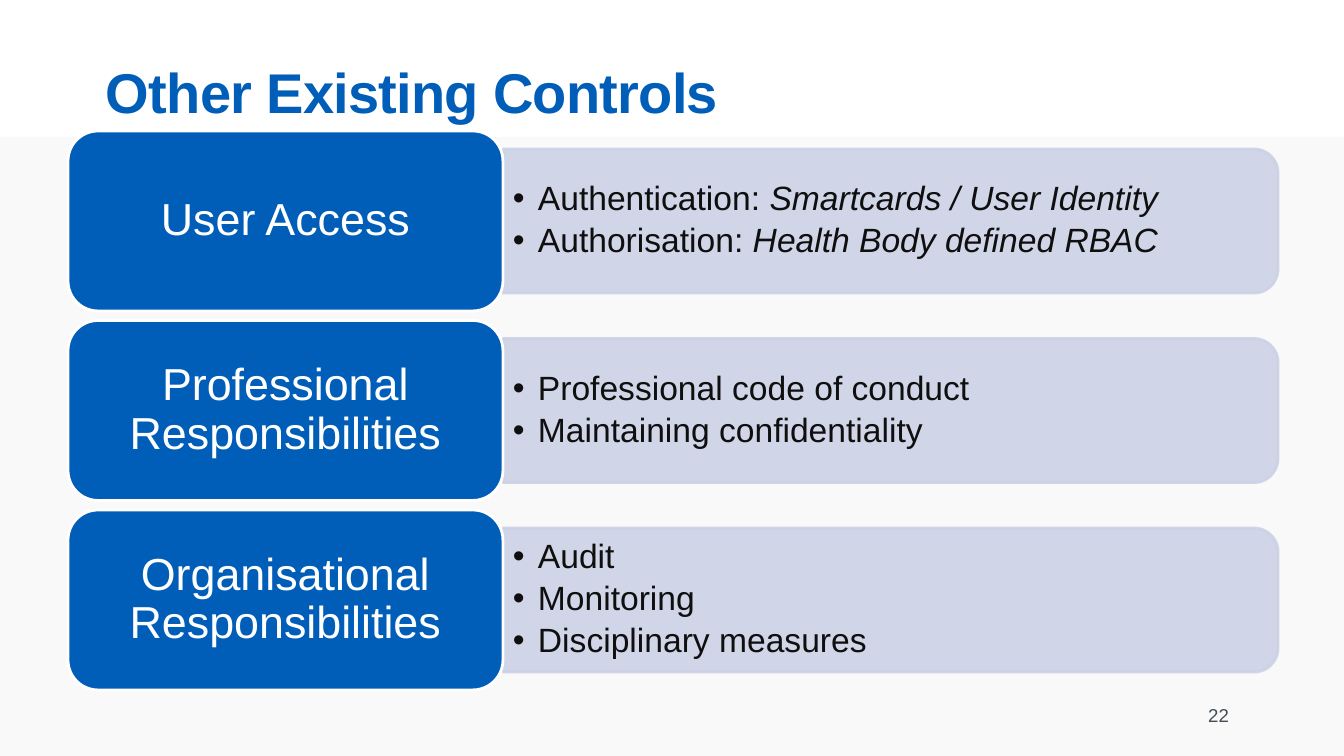
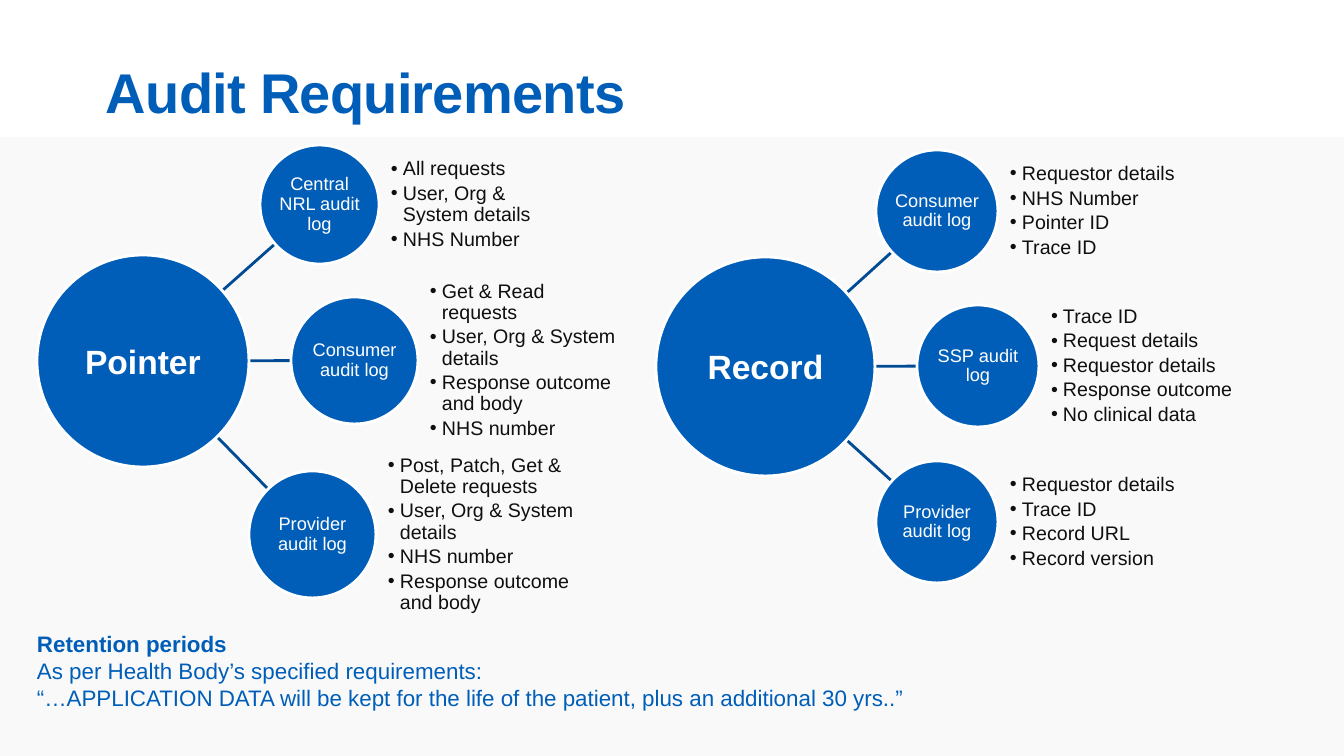
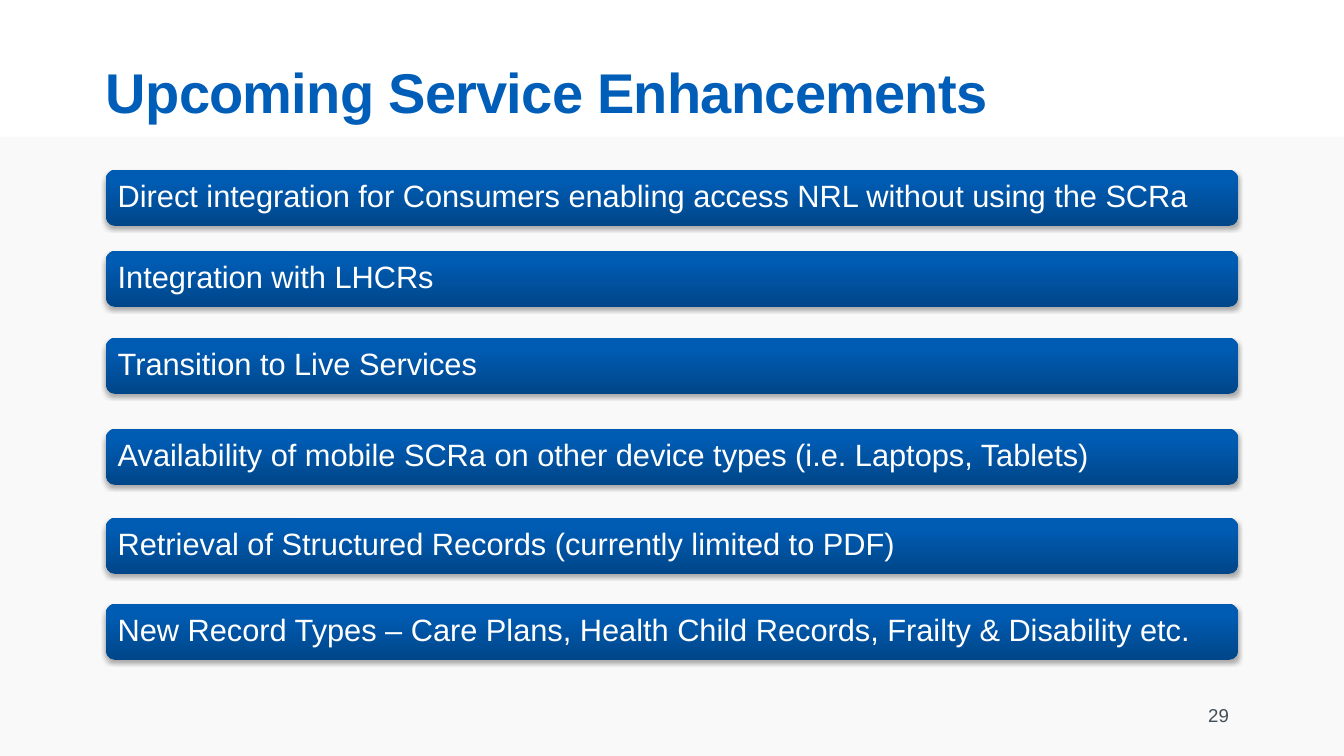
import math

from pptx import Presentation
from pptx.dml.color import RGBColor
from pptx.enum.shapes import MSO_CONNECTOR, MSO_SHAPE
from pptx.enum.text import MSO_ANCHOR, MSO_AUTO_SIZE, PP_ALIGN
from pptx.oxml import parse_xml
from pptx.oxml.ns import nsdecls
from pptx.util import Emu, Pt

PX = 914400 / 100.8
FONT = "Arial"
BLUE = RGBColor(0x00, 0x5E, 0xB8)
SPOKE_BLUE = RGBColor(0x00, 0x4B, 0x93)
PANEL = RGBColor(0xCC, 0xD2, 0xE6)
BAND = RGBColor(0xF9, 0xF9, 0xF9)
WHITE = RGBColor(0xFF, 0xFF, 0xFF)
INK = RGBColor(0x0F, 0x0F, 0x0F)
GREY = RGBColor(0x42, 0x4D, 0x58)
BLACK = RGBColor(0x00, 0x00, 0x00)
BAR_STOPS = [
    (0, RGBColor(0x00, 0x46, 0x89)),
    (80, RGBColor(0x00, 0x5B, 0xB2)),
    (100, RGBColor(0x00, 0x5C, 0xB3)),
]

RECTANGLE = MSO_SHAPE.RECTANGLE
ROUNDED = MSO_SHAPE.ROUNDED_RECTANGLE
TOP_ROUNDED = MSO_SHAPE.ROUND_2_SAME_RECTANGLE
ELLIPSE = MSO_SHAPE.OVAL
STRAIGHT = MSO_CONNECTOR.STRAIGHT
LEFT, CENTER, RIGHT = PP_ALIGN.LEFT, PP_ALIGN.CENTER, PP_ALIGN.RIGHT
TOP, MIDDLE = MSO_ANCHOR.TOP, MSO_ANCHOR.MIDDLE
NO_FIT = MSO_AUTO_SIZE.NONE

CONTROLS = [
    ("User Access", [
        [("Authentication: ", {}), ("Smartcards / User Identity", {"italic": True})],
        [("Authorisation: ", {}), ("Health Body defined RBAC", {"italic": True})],
    ]),
    ("Professional Responsibilities",
     ["Professional code of conduct", "Maintaining confidentiality"]),
    ("Organisational Responsibilities",
     ["Audit", "Monitoring", "Disciplinary measures"]),
]

POINTER_LOGS = [
    ((223, 0, 119), "Central NRL audit log",
     ["All requests", "User, Org & System details", "NHS Number"]),
    ((254, 152, 127), "Consumer audit log",
     ["Get & Read requests", "User, Org & System details",
      "Response outcome and body", "NHS number"]),
    ((212, 326, 127), "Provider audit log",
     ["Post, Patch, Get & Delete requests", "User, Org & System details",
      "NHS number", "Response outcome and body"]),
]

RECORD_LOGS = [
    ((220, 0, 122), "Consumer audit log",
     ["Requestor details", "NHS Number", "Pointer ID", "Trace ID"]),
    ((261, 155, 122), "SSP audit log",
     ["Trace ID", "Request details", "Requestor details",
      "Response outcome", "No clinical data"]),
    ((220, 311, 122), "Provider audit log",
     ["Requestor details", "Trace ID", "Record URL", "Record version"]),
]

RETENTION = [
    [("Retention periods", {"bold": True})],
    "As per Health Body’s specified requirements:",
    "“…APPLICATION DATA will be kept for the life of the patient, "
    "plus an additional 30 yrs..”",
]

ENHANCEMENTS = [
    (0, "Direct integration for Consumers enabling access NRL without using the SCRa"),
    (81, "Integration with LHCRs"),
    (168, "Transition to Live Services"),
    (259, "Availability of mobile SCRa on other device types (i.e. Laptops, Tablets)"),
    (348, "Retrieval of Structured Records (currently limited to PDF)"),
    (434, "New Record Types – Care Plans, Health Child Records, Frailty & Disability etc."),
]


def px(length):
    return Emu(round(length * PX))


def place(box):
    return [px(length) for length in box]


def write_text(frame, paragraphs, *, size, color, bold=False, align=LEFT,
               anchor=MIDDLE, margins=(0, 0), line_spacing=1.0,
               bullet_indent=0, tracking=0):
    frame.word_wrap = True
    frame.auto_size = NO_FIT
    frame.vertical_anchor = anchor
    frame.margin_left = frame.margin_right = px(margins[0])
    frame.margin_top = frame.margin_bottom = px(margins[1])
    for index, content in enumerate(paragraphs):
        paragraph = frame.add_paragraph() if index else frame.paragraphs[0]
        if bullet_indent:
            properties = paragraph._p.get_or_add_pPr()
            properties.set("marL", str(px(bullet_indent)))
            properties.set("indent", str(-px(bullet_indent)))
            properties.append(parse_xml(f'<a:buFont {nsdecls("a")} typeface="{FONT}"/>'))
            properties.append(parse_xml(f'<a:buChar {nsdecls("a")} char="•"/>'))
            paragraph.space_after = Pt(round(size * 0.17, 1))
        paragraph.alignment = align
        paragraph.line_spacing = line_spacing
        runs = [(content, {})] if isinstance(content, str) else content
        for text, emphasis in runs:
            run = paragraph.add_run()
            run.text = text
            run.font.name = FONT
            run.font.size = Pt(size)
            run.font.bold = bold
            run.font.color.rgb = color
            for name, value in emphasis.items():
                setattr(run.font, name, value)
            if tracking:
                run._r.get_or_add_rPr().set("spc", str(tracking))


def add_text(slide, box, paragraphs, **text_format):
    text_box = slide.shapes.add_textbox(*place(box))
    write_text(text_box.text_frame, paragraphs, **text_format)


def add_shape(slide, kind, box, fill, line=None):
    shape = slide.shapes.add_shape(kind, *place(box))
    shape.shadow.inherit = False
    shape.fill.solid()
    shape.fill.fore_color.rgb = fill
    if line is None:
        shape.line.fill.background()
    else:
        shape.line.color.rgb = line
        shape.line.width = Pt(2)
    return shape


def add_band(layout, slide):
    band = add_shape(slide, RECTANGLE, (0, 137, 1344, 619), BAND)
    layout.shapes.element.insert(2, band.element)


def add_titled_slide(presentation, layout, title):
    slide = presentation.slides.add_slide(layout)
    shape = slide.shapes.title
    shape.left, shape.top, shape.width, shape.height = place((106, 52, 1122, 78))
    write_text(shape.text_frame, [title], size=40, color=BLUE, bold=True, tracking=-50)
    return slide


def add_page_number(slide, number):
    add_text(slide, (926, 695, 313, 40), [number], size=13.3, color=GREY,
             align=RIGHT, margins=(10, 5))


def add_control_rows(slide, box, controls):
    left, top, width, height = box
    label_width, label_height, panel_height = 435, 180, 144
    pitch = (height - label_height) / (len(controls) - 1)
    panel_left, panel_width = left + label_width, width - label_width
    for index, (label, points) in enumerate(controls):
        row_top = top + index * pitch
        middle = row_top + label_height / 2
        panel_box = (panel_left + (panel_width - panel_height) / 2,
                     middle - panel_width / 2, panel_height, panel_width)
        panel = add_shape(slide, TOP_ROUNDED, panel_box, PANEL, PANEL)
        panel.rotation = 90
        for color in panel.element.spPr.xpath(".//a:srgbClr"):
            color.append(parse_xml(f'<a:alpha {nsdecls("a")} val="90000"/>'))
        add_text(slide, (panel_left, middle - 65, panel_width - 7, 130), points,
                 size=24, color=INK, margins=(10, 5), line_spacing=0.9, bullet_indent=25)
        label_shape = add_shape(slide, ROUNDED,
                                (left, row_top, label_width, label_height), BLUE, WHITE)
        write_text(label_shape.text_frame, [label], size=32, color=WHITE, align=CENTER,
                   margins=(13, 7), line_spacing=0.9)


def add_spoke(slide, hub, node):
    hub_x, hub_y, node_x, node_y = (
        circle[axis] + circle[2] / 2 for circle in (hub, node) for axis in (0, 1))
    distance = math.hypot(node_x - hub_x, node_y - hub_y)
    start = 0.93 * hub[2] / 2 / distance
    end = 1 - node[2] / 2 / distance
    points = [(hub_x + part * (node_x - hub_x), hub_y + part * (node_y - hub_y))
              for part in (start, end)]
    spoke = slide.shapes.add_connector(STRAIGHT, *place(points[0] + points[1]))
    spoke.line.color.rgb = SPOKE_BLUE
    spoke.line.width = Pt(2)
    spoke.element.spPr.append(parse_xml(f'<a:effectLst {nsdecls("a")}/>'))


def add_circle(slide, circle, text, **text_format):
    left, top, size = circle
    shape = add_shape(slide, ELLIPSE, (left, top, size, size), BLUE, WHITE)
    write_text(shape.text_frame, [text], color=WHITE, align=CENTER, margins=(1, 1),
               **text_format)


def add_audit_hub(slide, origin, hub, name, logs):
    left, top = origin

    def shift(circle):
        return (left + circle[0], top + circle[1], circle[2])

    for circle, _, _ in logs:
        add_spoke(slide, shift(hub), shift(circle))
    add_circle(slide, shift(hub), name, size=24, bold=True)
    for circle, label, points in logs:
        node_left, node_top, size = shift(circle)
        add_circle(slide, (node_left, node_top, size), label, size=13, line_spacing=0.9)
        add_text(slide, (node_left + size + 12, node_top, 1.5 * size, size), points,
                 size=14, color=INK, line_spacing=0.9, bullet_indent=12)


def add_enhancement_bars(slide, box, enhancements):
    left, top, width, bar_height = box
    stops = "".join(
        f'<a:gs pos="{position * 1000}"><a:srgbClr val="{color}"/></a:gs>'
        for position, color in BAR_STOPS)
    gradient = (f'<a:gradFill {nsdecls("a")} rotWithShape="1"><a:gsLst>{stops}</a:gsLst>'
                '<a:lin ang="16200000" scaled="0"/></a:gradFill>')
    shadow = (f'<a:effectLst {nsdecls("a")}><a:outerShdw blurRad="{Pt(3.1)}" '
              f'dist="{Pt(1.8)}" dir="5400000" rotWithShape="0"><a:srgbClr val="{BLACK}">'
              '<a:alpha val="35000"/></a:srgbClr></a:outerShdw></a:effectLst>')
    for offset, text in enhancements:
        bar = add_shape(slide, ROUNDED, (left, top + offset, width, bar_height), BLUE)
        properties = bar.element.spPr
        for tag, markup in (("a:solidFill", gradient), ("a:effectLst", shadow)):
            properties.replace(properties.xpath(tag)[0], parse_xml(markup))
        write_text(bar.text_frame, [text], size=22, color=WHITE, margins=(9, 9),
                   line_spacing=0.9)


def main():
    presentation = Presentation()
    presentation.slide_width, presentation.slide_height = px(1344), px(756)
    layout = presentation.slide_layouts.get_by_name("Title Only")

    controls = add_titled_slide(presentation, layout, "Other Existing Controls")
    add_band(layout, controls)
    add_control_rows(controls, (68, 131, 1210, 559), CONTROLS)
    add_page_number(controls, "22")

    audit = add_titled_slide(presentation, layout, "Audit Requirements")
    add_audit_hub(audit, (37, 145), (0, 110, 212), "Pointer", POINTER_LOGS)
    add_audit_hub(audit, (656, 150), (0, 107, 219), "Record", RECORD_LOGS)
    add_text(audit, (37, 630, 1211, 83), RETENTION, size=16, color=BLUE, anchor=TOP)

    upcoming = add_titled_slide(presentation, layout, "Upcoming Service Enhancements")
    add_page_number(upcoming, "29")
    add_enhancement_bars(upcoming, (106, 170, 1132, 56), ENHANCEMENTS)

    presentation.save("out.pptx")


if __name__ == "__main__":
    main()
